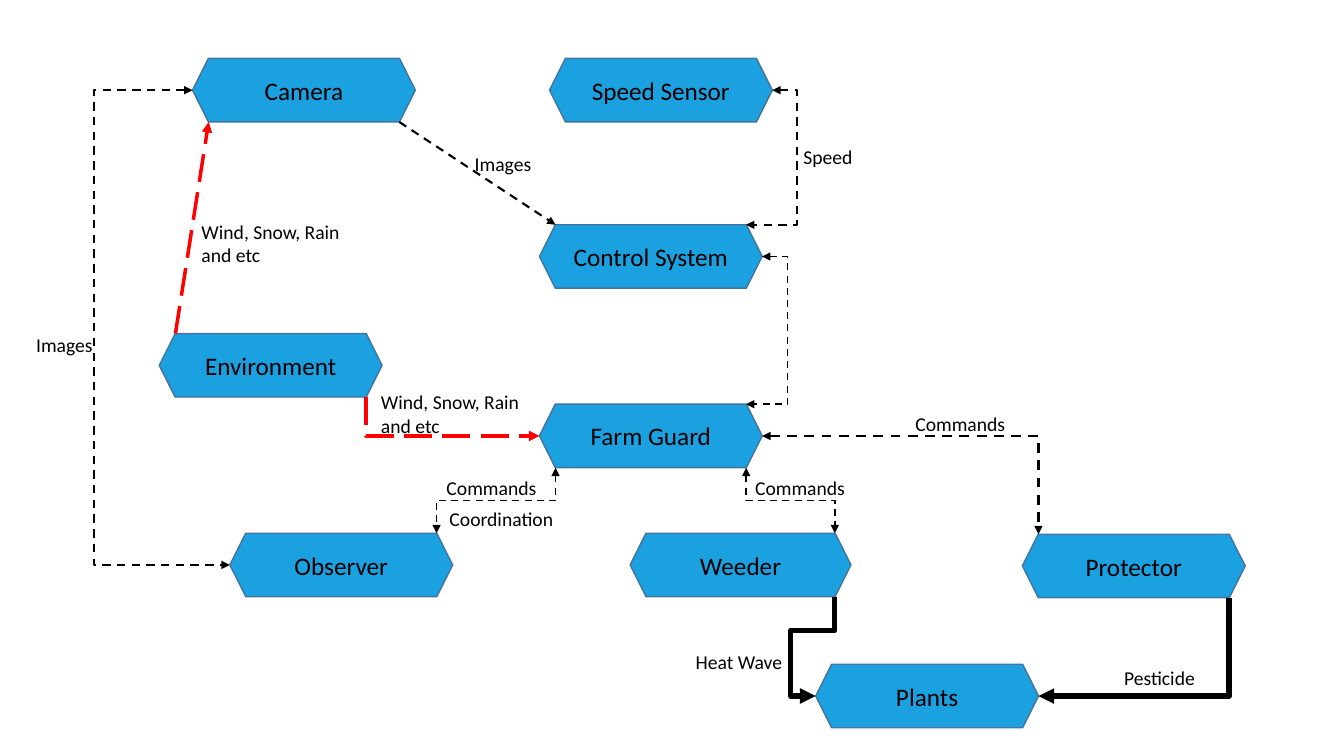
from lxml.etree import SubElement
from pptx import Presentation
from pptx.dml.color import RGBColor
from pptx.enum.dml import MSO_LINE
from pptx.enum.shapes import MSO_CONNECTOR, MSO_SHAPE
from pptx.enum.text import MSO_ANCHOR, MSO_AUTO_SIZE, PP_ALIGN
from pptx.oxml.ns import qn
from pptx.util import Pt

PX = 9144  # 100 px to the inch
WIDE, HIGH, SLANT = 221, 63, 16
FONT = "Calibri"
BLUE = RGBColor(0x1B, 0xA0, 0xE0)
EDGE = RGBColor(0x43, 0x73, 0x9E)
BLACK = RGBColor(0, 0, 0)
RED = RGBColor(0xFF, 0, 0)
DASH, LONG = MSO_LINE.DASH, MSO_LINE.LONG_DASH

# Connection sites of a hexagon
RIGHT, LOW_R, LOW_L, LEFT, TOP_L, TOP_R = range(6)

NODES = [
    ("Environment", 158, 331, WIDE),
    ("Control System", 535, 223, WIDE),
    ("Speed Sensor", 545, 58, WIDE),
    ("Camera", 191, 58, WIDE),
    ("Observer", 228, 529, WIDE),
    ("Weeder", 625, 529, 219),
    ("Protector", 1014, 530, WIDE),
    ("Farm Guard", 535, 401, WIDE),
    ("Plants", 809, 659, WIDE),
]

# from, site, to, site, segments, bends, colour, points, dash, two-way
LINKS = [
    ("Environment", TOP_L, "Camera", LOW_L, 1, [], RED, 2.5, LONG, False),
    ("Environment", LOW_R, "Farm Guard", LEFT, 2, [], RED, 2.5, LONG, False),
    ("Camera", LOW_R, "Control System", TOP_L, 1, [], BLACK, 1.5, DASH, False),
    ("Farm Guard", LOW_L, "Observer", TOP_R, 3, [0.5], BLACK, 1.25, DASH, True),
    ("Protector", LOW_R, "Plants", RIGHT, 2, [], BLACK, 3.75, None, False),
    ("Control System", RIGHT, "Farm Guard", TOP_R, 4, [-1.58, 1],
     BLACK, 1.25, DASH, True),
    ("Camera", LEFT, "Observer", LEFT, 3, [-2.65], BLACK, 1.5, DASH, True),
    ("Weeder", LOW_R, "Plants", LEFT, 4, [0.34, 2.31], BLACK, 3.75, None, False),
    ("Farm Guard", LOW_R, "Weeder", TOP_R, 3, [0.5], BLACK, 1.25, DASH, True),
    ("Farm Guard", RIGHT, "Protector", TOP_L, 2, [], BLACK, 1.75, DASH, True),
    ("Speed Sensor", RIGHT, "Control System", TOP_R, 4, [-0.95, 1],
     BLACK, 1.5, DASH, True),
]

LABELS = [
    ("Speed", 787, 139, 83, 34),
    ("Images", 461, 146, 83, 34),
    ("Wind, Snow, Rain and etc", 190, 213, 173, 57),
    ("Wind, Snow, Rain and etc", 368, 382, 173, 57),
    ("Images", 26, 325, 83, 34),
    ("Commands", 433, 467, 116, 34),
    ("Commands", 739, 467, 118, 34),
    ("Commands", 898, 404, 116, 34),
    ("Coordination", 436, 498, 140, 34),
    ("Pesticide", 1105, 656, 108, 34),
    ("Heat Wave", 680, 640, 108, 34),
]


def px(*nums):
    return [num * PX for num in nums]


def write(frame, text, size):
    run = frame.paragraphs[0].add_run()
    run.text = text
    run.font.name = FONT
    run.font.size = Pt(size)
    run.font.color.rgb = BLACK


def add_node(slide, text, x, y, wide):
    node = slide.shapes.add_shape(MSO_SHAPE.HEXAGON, *px(x, y, wide, HIGH))
    node.shadow.inherit = False
    node.fill.solid()
    node.fill.fore_color.rgb = BLUE
    node.line.color.rgb = EDGE
    node.line.width = Pt(1)
    frame = node.text_frame
    frame.word_wrap = True
    frame.vertical_anchor = MSO_ANCHOR.MIDDLE
    frame.paragraphs[0].alignment = PP_ALIGN.CENTER
    write(frame, text, 18)
    return node


def add_label(slide, text, *box):
    frame = slide.shapes.add_textbox(*px(*box)).text_frame
    frame.word_wrap = True
    frame.auto_size = MSO_AUTO_SIZE.SHAPE_TO_FIT_TEXT
    write(frame, text, 14)


def site_of(node, site):
    """Place of a hexagon's connection site."""
    slant = SLANT * PX
    across = {RIGHT: node.width, LEFT: 0, LOW_L: slant, TOP_L: slant}
    down = {RIGHT: node.height // 2, LEFT: node.height // 2, TOP_L: 0, TOP_R: 0}
    return (node.left + across.get(site, node.width - slant),
            node.top + down.get(site, node.height))


def bend(line, start, end, upright, count, bends):
    """Shape an elbow; an upright one leaves its start downwards."""
    props = line._element.spPr
    if upright:
        (x1, y1), (x2, y2) = start, end
        wide, high = abs(y2 - y1), abs(x2 - x1)
        line.left, line.top = (x1 + x2 - wide) // 2, (y1 + y2 - high) // 2
        line.width, line.height = wide, high
        frame = props.find(qn("a:xfrm"))
        frame.attrib.pop("flipH", None)
        frame.set("rot", str((270 if x2 > x1 else 90) * 60000))
        if x2 > x1:
            frame.set("flipH", "1")
    form = props.find(qn("a:prstGeom"))
    form.set("prst", f"bentConnector{count}")
    guides = form.find(qn("a:avLst"))
    for num, part in enumerate(bends, 1):
        SubElement(guides, qn("a:gd"), name=f"adj{num if count > 3 else 1}",
                   fmla=f"val {round(part * 100000)}")


def add_link(slide, nodes, first, out, last, into, count, bends,
             color, points, dash, both):
    ends = [(nodes[first], out), (nodes[last], into)]
    start, end = [site_of(*stop) for stop in ends]
    kind = MSO_CONNECTOR.STRAIGHT if count == 1 else MSO_CONNECTOR.ELBOW
    line = slide.shapes.add_connector(kind, *start, *end)
    if count > 1:
        bend(line, start, end, out not in (LEFT, RIGHT), count, bends)
    line.line.color.rgb = color
    line.line.width = Pt(points)
    if dash:
        line.line.dash_style = dash
    props = line._element.spPr
    stroke = props.find(qn("a:ln"))
    for tag in ("a:headEnd", "a:tailEnd") if both else ("a:tailEnd",):
        SubElement(stroke, qn(tag), type="triangle")
    SubElement(props, qn("a:effectLst"))
    joints = line._element.find(".//" + qn("p:cNvCxnSpPr"))
    for tag, (node, site) in zip(("a:stCxn", "a:endCxn"), ends):
        SubElement(joints, qn(tag), id=str(node.shape_id), idx=str(site))


def main():
    deck = Presentation()
    deck.slide_width, deck.slide_height = px(1333, 750)
    slide = deck.slides.add_slide(deck.slide_layouts[6])
    nodes = {node[0]: add_node(slide, *node) for node in NODES}
    for link in LINKS:
        add_link(slide, nodes, *link)
    for label in LABELS:
        add_label(slide, *label)
    deck.save("out.pptx")


if __name__ == "__main__":
    main()
